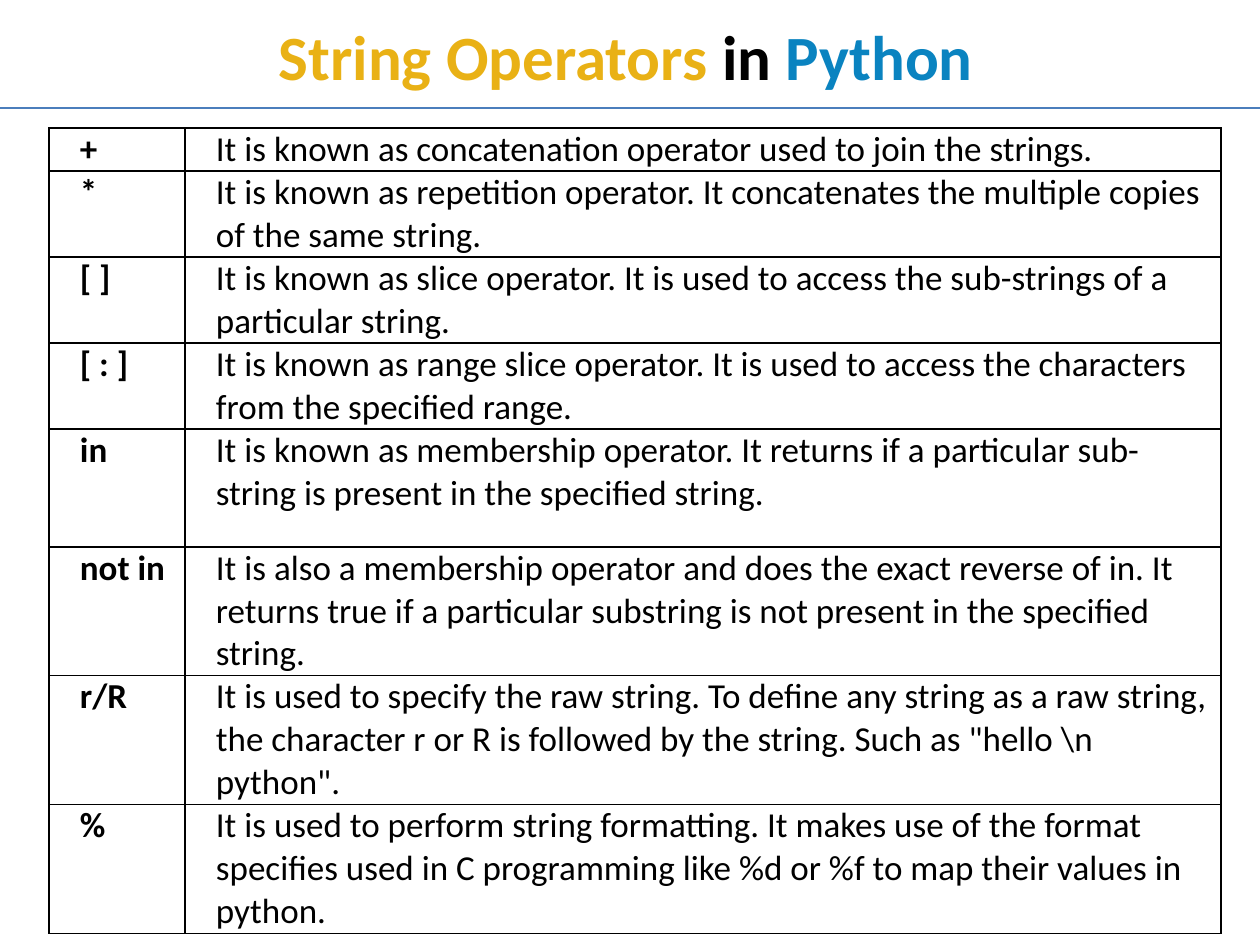
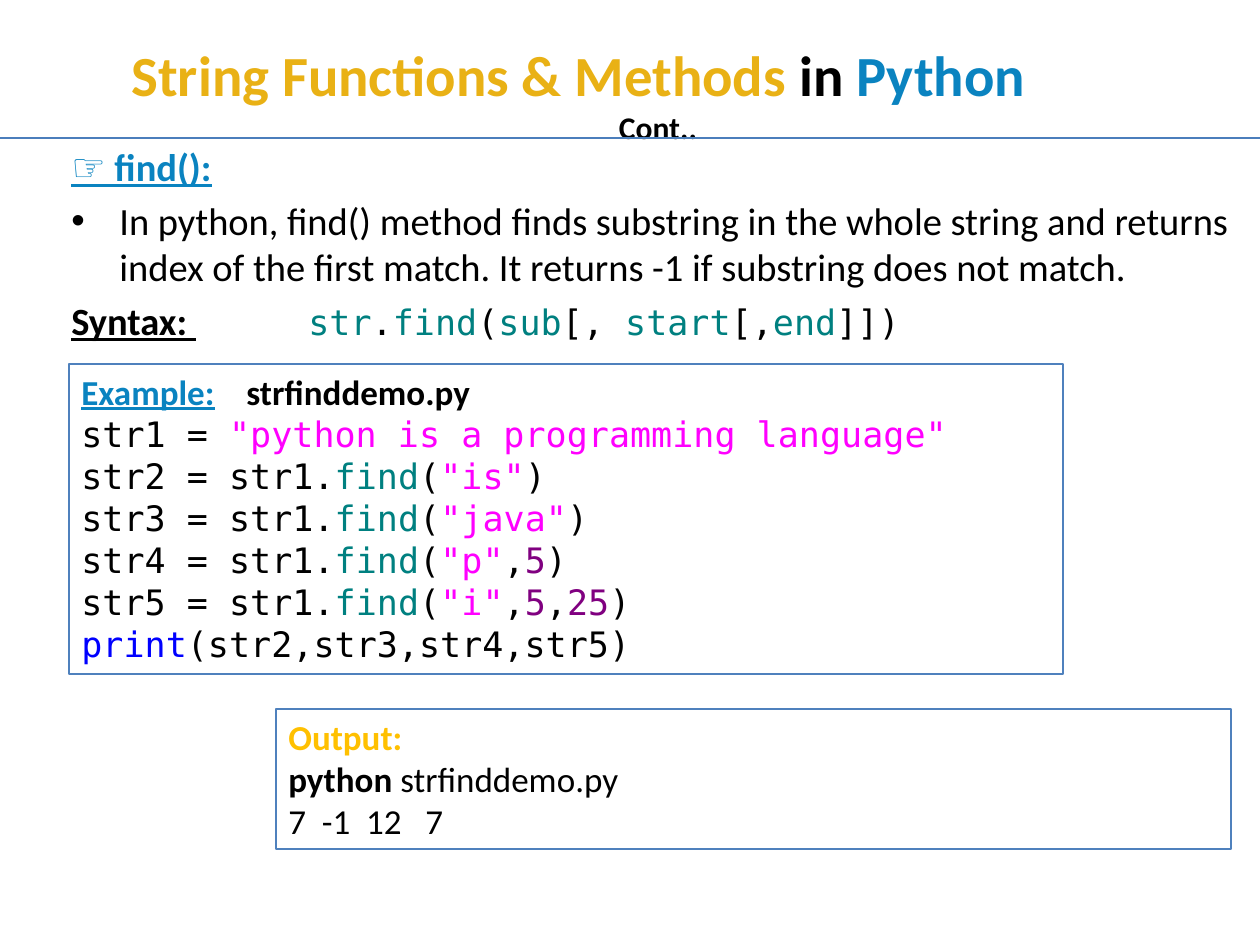
"""Build two slides on Python string operators and the find() method."""
from lxml.etree import SubElement
from pptx import Presentation
from pptx.dml.color import RGBColor
from pptx.enum.shapes import MSO_CONNECTOR, MSO_SHAPE
from pptx.enum.text import MSO_ANCHOR, MSO_AUTO_SIZE, PP_ALIGN
from pptx.oxml.ns import qn
from pptx.util import Emu, Pt

SCALE = 914400 / 126
GOLD, BLUE, BLACK = "E9B115", "0A83C0", "000000"
TEAL, PINK, PURPLE, KEYWORD = "008080", "FF00FF", "800080", "0000FF"
RULE, FRAME, AMBER = "4B7EBC", "4F81BD", "FFC000"
SANS, MONO = "Calibri", "DejaVu Sans Mono"


def px(*values):
    lengths = [Emu(round(value * SCALE)) for value in values]
    return lengths if len(lengths) > 1 else lengths[0]


def write(para, spans, **base):
    for text, color, *extra in spans:
        span = para.add_run()
        span.text = text
        formats = {"name": SANS, "size": 20, "bold": False, **base}
        if extra:
            formats.update(extra[0])
        formats["size"] = Pt(formats["size"])
        for name, value in formats.items():
            setattr(span.font, name, value)
        span.font.color.rgb = RGBColor.from_string(color)


deck = Presentation()
deck.slide_width, deck.slide_height = px(1260, 945)

headings = [
    ("String Operators ", 36, (59, 0, 1134, 110), 108),
    ("String Functions & Methods ", 32.4, (63, 38, 1134, 110), 138),
]
pages = []
for topic, size, place, rule_y in headings:
    page = deck.slides.add_slide(deck.slide_layouts[5])
    title = page.shapes.title
    title.left, title.top, title.width, title.height = px(*place)
    frame = title.text_frame
    frame.auto_size = MSO_AUTO_SIZE.NONE
    frame.vertical_anchor = MSO_ANCHOR.MIDDLE
    para = frame.paragraphs[0]
    para.alignment = PP_ALIGN.CENTER
    write(para, [(topic, GOLD), ("in ", BLACK), ("Python", BLUE)], size=size, bold=True)
    rule = page.shapes.add_connector(MSO_CONNECTOR.STRAIGHT, *px(0, rule_y, 1260, rule_y))
    rule.line.color.rgb = RGBColor.from_string(RULE)
    rule.line.width = Pt(0.75)
    SubElement(rule._element.spPr, qn("a:effectLst"))
    pages.append(page)
operators_page, find_page = pages

operators = [
    ("+", 43, "It is known as concatenation operator used to join the strings."),
    ("*", 86, "It is known as repetition operator. It concatenates the multiple copies of the same string."),
    ("[ ]", 86, "It is known as slice operator. It is used to access the sub-strings of a particular string."),
    ("[ : ]", 86, "It is known as range slice operator. It is used to access the characters "
     "from the specified range."),
    ("in", 118, "It is known as membership operator. It returns if a particular sub-string "
     "is present in the specified string."),
    ("not in", 128, "It is also a membership operator and does the exact reverse of in. It returns "
     "true if a particular substring is not present in the specified string."),
    ("r/R", 129, "It is used to specify the raw string. To define any string as a raw string, the "
     "character r or R is followed by the string. Such as \"hello \\n python\"."),
    ("%", 129, "It is used to perform string formatting. It makes use of the format specifies used "
     "in C programming like %d or %f to map their values in python."),
]
total_height = sum(height for _, height, _ in operators)
table = operators_page.shapes.add_table(len(operators), 2, *px(49, 128, 1172, total_height)).table
table.first_row = table.horz_banding = False
for column, width in zip(table.columns, (136, 1036)):
    column.width = px(width)
for row, (symbol, height, meaning) in zip(table.rows, operators):
    row.height = px(height)
    for cell, text, bold in zip(row.cells, (symbol, meaning), (True, False)):
        cell.margin_left = cell.margin_right = px(9)
        cell.margin_top = cell.margin_bottom = 0
        para = cell.text_frame.paragraphs[0]
        para._p.get_or_add_pPr().set("marL", str(px(22)))
        write(para, [(text, BLACK)], bold=bold)
        properties = cell._tc.get_or_add_tcPr()
        for side in ("a:lnL", "a:lnR", "a:lnT", "a:lnB"):
            border = SubElement(properties, qn(side), w=str(Pt(1)))
            SubElement(SubElement(border, qn("a:solidFill")), qn("a:srgbClr"), val=BLACK)
        cell.fill.background()

title_frame = find_page.shapes.title.text_frame
first = title_frame.paragraphs[0]
first.alignment = PP_ALIGN.LEFT
first._p.get_or_add_pPr().set("marL", str(px(56)))
continued = title_frame.add_paragraph()
continued.alignment = PP_ALIGN.CENTER
write(continued, [("Cont..", BLACK)], size=18, bold=True)

code = {"name": MONO, "size": 20}
syntax = [("Syntax: ", BLACK, {"bold": True, "underline": True}), ("\t\t", TEAL, code)]
for index, token in enumerate(["str", ".", "find", "(", "sub", "[, ", "start", "[,", "end", "]])"]):
    syntax.append((token, BLACK if index % 2 else TEAL, code))
body = find_page.shapes.add_textbox(*px(59, 137, 1201, 220)).text_frame
body.word_wrap = True
body_lines = [
    [("☞ find():", BLUE, {"bold": True, "underline": True})],
    [("In python, find() method finds substring in the whole string and returns index of the "
      "first match. It returns -1 if substring does not match.", BLACK)],
    syntax,
]
for index, spans in enumerate(body_lines):
    para = body.add_paragraph() if index else body.paragraphs[0]
    para.space_before = Pt(4.4)
    properties = para._p.get_or_add_pPr()
    properties.set("marL", str(px(48)))
    properties.set("indent", str(px(-48)))
    if index == 1:
        SubElement(properties, qn("a:buFont"), typeface="Arial")
        SubElement(properties, qn("a:buChar"), char="•")
    write(para, spans, size=22)

example = [
    [("Example:", BLUE, {"bold": True, "underline": True}),
     ("\tstrfinddemo.py", BLACK, {"bold": True})],
    [("str1 = ", BLACK, code), ('"python is a programming language"', PINK, code)],
]
calls = [['"is"'], ['"java"'], ['"p"', "5"], ['"i"', "5", "25"]]
for number, arguments in enumerate(calls, 2):
    spans = [(f"str{number} = str1.", BLACK, code), ("find", TEAL, code)]
    for position, argument in enumerate(arguments):
        spans.append(("," if position else "(", BLACK, code))
        spans.append((argument, PURPLE if position else PINK, code))
    example.append(spans + [(")", BLACK, code)])
example.append([("print", KEYWORD, code), ("(str2,str3,str4,str5)", BLACK, code)])
output = [
    [("Output:", AMBER, {"bold": True})],
    [("python", BLACK, {"bold": True}), (" strfinddemo.py", BLACK)],
    [("7  -1  12   7", BLACK)],
]
for place, lines in (((69, 364, 994, 310), example), ((276, 709, 955, 140), output)):
    box = find_page.shapes.add_shape(MSO_SHAPE.RECTANGLE, *px(*place))
    box.shadow.inherit = False
    box.fill.background()
    box.line.color.rgb = RGBColor.from_string(FRAME)
    box.line.width = Pt(0.75)
    frame = box.text_frame
    frame.word_wrap = True
    frame.vertical_anchor = MSO_ANCHOR.TOP
    for index, spans in enumerate(lines):
        para = frame.add_paragraph() if index else frame.paragraphs[0]
        para.alignment = PP_ALIGN.LEFT
        write(para, spans)
        if "\t" in para.text:
            stops = SubElement(para._p.get_or_add_pPr(), qn("a:tabLst"))
            SubElement(stops, qn("a:tab"), pos=str(px(165)), algn="l")

deck.save("out.pptx")
